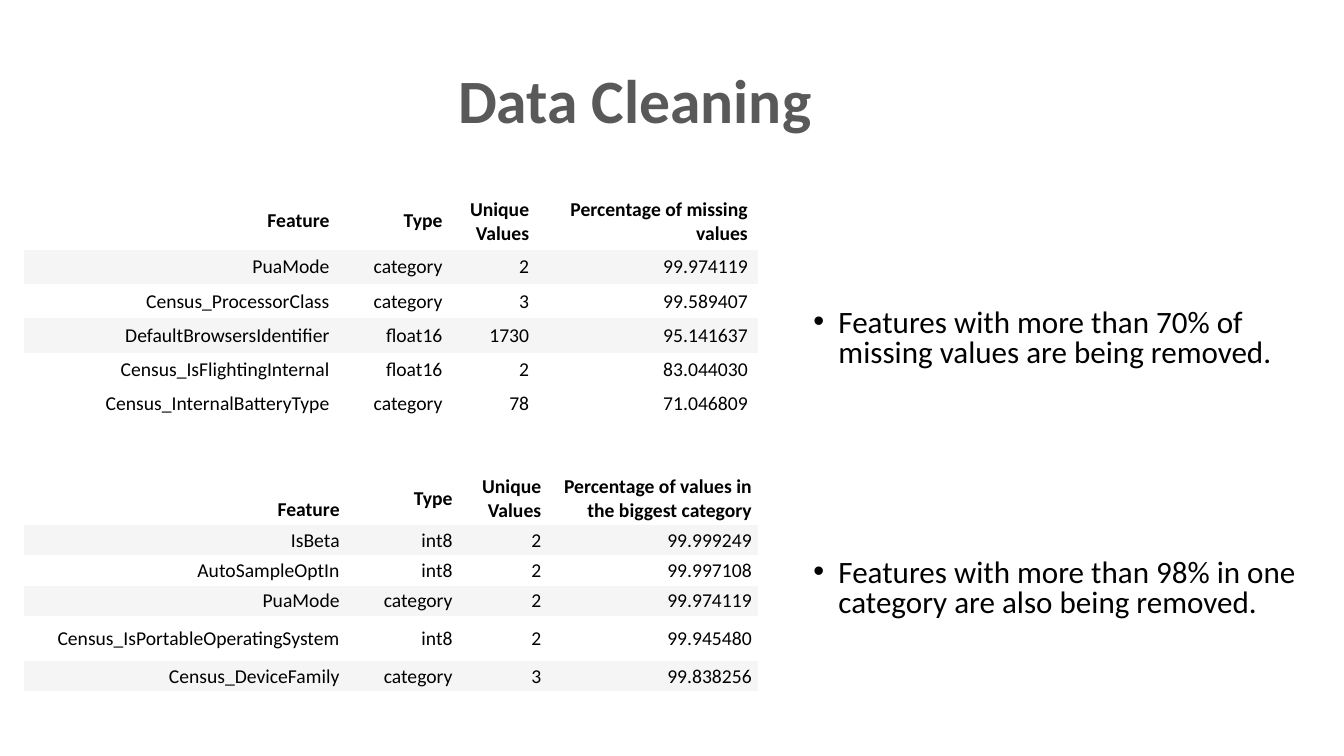
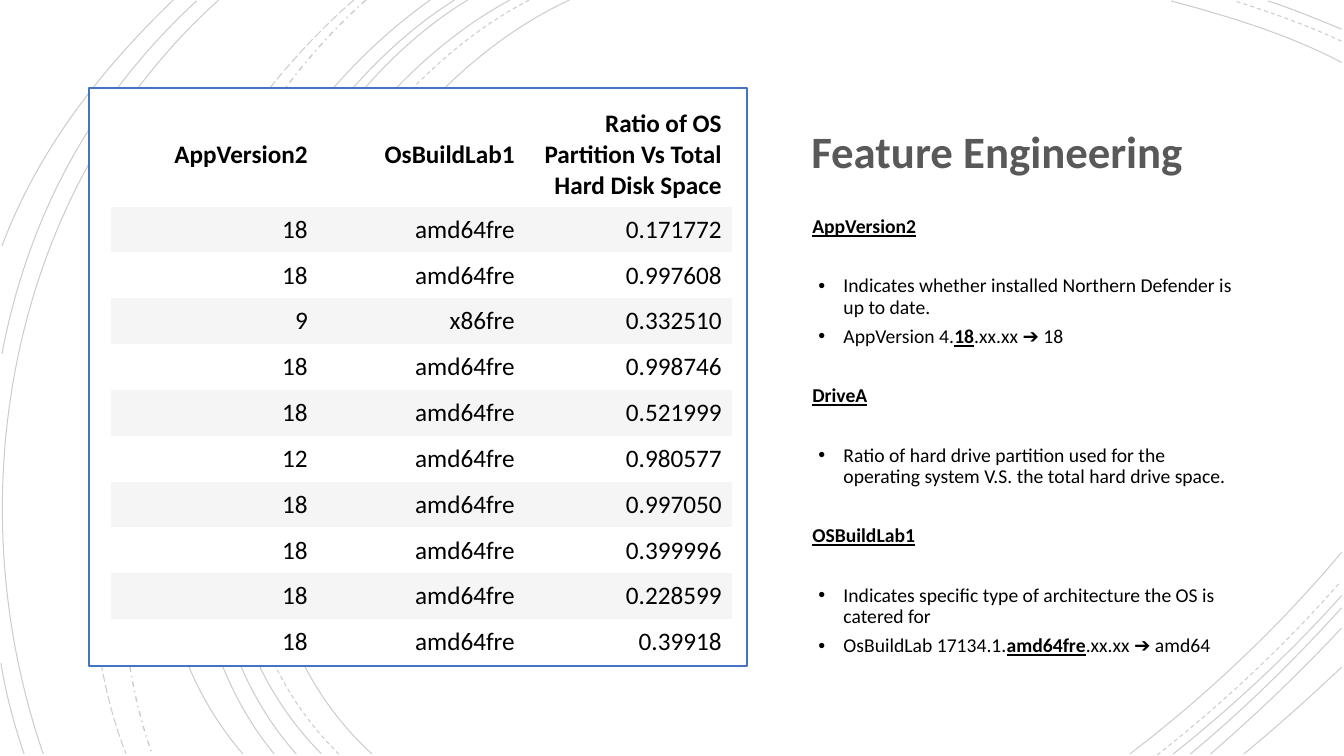
from lxml.etree import SubElement
from pptx import Presentation
from pptx.dml.color import RGBColor
from pptx.enum.dml import MSO_LINE
from pptx.enum.shapes import MSO_SHAPE
from pptx.enum.text import MSO_ANCHOR, PP_ALIGN
from pptx.oxml.ns import qn
from pptx.util import Inches, Pt

# Shared style
FONT = "Calibri"
BLACK = RGBColor(0x00, 0x00, 0x00)
WHITE = RGBColor(0xFF, 0xFF, 0xFF)
TITLE_GREY = RGBColor(0x59, 0x59, 0x59)
BAND_GREY = RGBColor(0xF5, 0xF5, 0xF5)
FRAME_BLUE = RGBColor(0x44, 0x72, 0xC4)
PLAIN_TABLE_STYLE = "{2D5ABB26-0587-4C30-8999-92F81FD0307C}"

MISSING_VALUES = [
    ("Feature", "Type", "Unique Values", "Percentage of missing values"),
    ("PuaMode", "category", "2", "99.974119"),
    ("Census_ProcessorClass", "category", "3", "99.589407"),
    ("DefaultBrowsersIdentifier", "float16", "1730", "95.141637"),
    ("Census_IsFlightingInternal", "float16", "2", "83.044030"),
    ("Census_InternalBatteryType", "category", "78", "71.046809"),
]
BIGGEST_CATEGORY = [
    ("Feature", "Type", "Unique Values",
     "Percentage of values in the biggest category"),
    ("IsBeta", "int8", "2", "99.999249"),
    ("AutoSampleOptIn", "int8", "2", "99.997108"),
    ("PuaMode", "category", "2", "99.974119"),
    ("Census_IsPortableOperatingSystem", "int8", "2", "99.945480"),
    ("Census_DeviceFamily", "category", "3", "99.838256"),
]
NEW_FEATURES = [
    ("AppVersion2", "OsBuildLab1",
     "Ratio of OS Partition Vs Total Hard Disk Space"),
    ("18", "amd64fre", "0.171772"),
    ("18", "amd64fre", "0.997608"),
    ("9", "x86fre", "0.332510"),
    ("18", "amd64fre", "0.998746"),
    ("18", "amd64fre", "0.521999"),
    ("12", "amd64fre", "0.980577"),
    ("18", "amd64fre", "0.997050"),
    ("18", "amd64fre", "0.399996"),
    ("18", "amd64fre", "0.228599"),
    ("18", "amd64fre", "0.39918"),
]
# Heading and its bullets; each bullet is a list of (text, emphasised) spans
EXPLANATIONS = [
    ("AppVersion2", [
        [("Indicates whether installed Northern Defender is up to date.", False)],
        [("AppVersion 4.", False), ("18", True), (".xx.xx ➔ 18", False)],
    ]),
    ("DriveA", [
        [("Ratio of hard drive partition used for the operating system V.S. "
          "the total hard drive space.", False)],
    ]),
    ("OSBuildLab1", [
        [("Indicates specific type of architecture the OS is catered for", False)],
        [("OsBuildLab 17134.1.", False), ("amd64fre", True),
         (".xx.xx ➔ amd64", False)],
    ]),
]
# Start, two control points and end of each background curve, by line style
SOLID_ARCS = [
    ((5.65, 0), (3.15, 1.15), (1.43, 5.4), (3.69, 7.48)),
    ((13.31, 0.62), (12.78, 0.34), (12.18, 0.16), (11.62, 0.01)),
    ((11.21, 7.48), (11.97, 6.9), (12.69, 6.22), (13.31, 5.48)),
    ((5.06, 0), (2.7, 1.27), (1.1, 5.37), (3.19, 7.48)),
    ((13.31, 0.29), (13.07, 0.19), (12.83, 0.09), (12.58, 0.01)),
    ((11.64, 7.48), (12.23, 7.01), (12.8, 6.48), (13.31, 5.91)),
    ((4.64, 0), (2.44, 1.33), (1.1, 5.41), (2.94, 7.48)),
    ((11.81, 7.48), (12.34, 7.04), (12.84, 6.55), (13.31, 6.03)),
    ((4.51, 0), (2.31, 1.38), (0.97, 5.33), (2.72, 7.48)),
    ((12.01, 7.48), (12.46, 7.09), (12.9, 6.67), (13.31, 6.23)),
    ((4.27, 0), (2.17, 1.47), (0.53, 5.29), (2.41, 7.48)),
    ((12.34, 7.48), (12.67, 7.21), (12.99, 6.92), (13.31, 6.62)),
    ((2.17, 0), (0.11, 1.85), (-0.46, 4.9), (0.43, 7.48)),
    ((1.95, 0.01), (0.92, 0.96), (0.28, 2.14), (0.02, 3.51)),
    ((0.01, 6.58), (0.06, 6.89), (0.14, 7.19), (0.24, 7.48)),
    ((1.72, 0), (1, 0.69), (0.37, 1.5), (0.02, 2.44)),
]
DASHED_ARCS = [
    ((5.25, 0), (2.85, 1.25), (1.23, 5.37), (3.36, 7.48)),
    ((13.31, 0.41), (12.97, 0.25), (12.6, 0.12), (12.25, 0.01)),
    ((11.48, 7.49), (12.13, 6.98), (12.75, 6.4), (13.3, 5.77)),
]
DASH_DOT_ARCS = [((3.63, 0), (1.76, 1.66), (0.65, 5.09), (1.51, 7.48))]
LONG_DASH_ARCS = [((3.51, 0), (1.57, 1.69), (0.29, 4.99), (1.25, 7.48))]
ARC_STYLES = [
    (SOLID_ARCS, MSO_LINE.SOLID, 0.75),
    (DASHED_ARCS, MSO_LINE.DASH, 0.75),
    (DASH_DOT_ARCS, MSO_LINE.DASH_DOT, 1),
    (LONG_DASH_ARCS, MSO_LINE.LONG_DASH, 0.75),
]


def add_span(para, text, *, size, color=BLACK, bold=False, underline=False):
    span = para.add_run()
    span.text = text
    font = span.font
    font.name, font.size, font.bold, font.underline = FONT, Pt(size), bold, underline
    font.color.rgb = color


def set_bullet(para, indent, hanging=0.25):
    properties = para._p.get_or_add_pPr()
    properties.set("marL", str(Inches(indent)))
    properties.set("indent", str(Inches(-hanging)))
    SubElement(properties, qn("a:buFont"), typeface="Arial")
    SubElement(properties, qn("a:buChar"), char="•")


def add_box(page, left, top, width, height, anchor=MSO_ANCHOR.TOP):
    box = page.shapes.add_textbox(
        Inches(left), Inches(top), Inches(width), Inches(height))
    box.text_frame.word_wrap = True
    box.text_frame.vertical_anchor = anchor
    return box.text_frame


def next_para(frame, *, line_spacing, before=0, after=0):
    """Use the empty first paragraph, or start a new one."""
    first = frame.paragraphs[0]
    is_first = not first.runs
    para = first if is_first else frame.add_paragraph()
    para.line_spacing = line_spacing
    para.space_before = Pt(0 if is_first else before)
    para.space_after = Pt(after)
    return para


def add_title(page, text, left, top, width, height, *, size,
              anchor=MSO_ANCHOR.TOP, align=PP_ALIGN.LEFT):
    frame = add_box(page, left, top, width, height, anchor)
    para = next_para(frame, line_spacing=0.9)
    para.alignment = align
    add_span(para, text, size=size, color=TITLE_GREY, bold=True)


def add_data_table(page, rows, left, top, widths, heights, *, size,
                   banded, margins=(0.1, 0.05)):
    frame = page.shapes.add_table(
        len(rows), len(widths), Inches(left), Inches(top),
        Inches(sum(widths)), Inches(sum(heights)))
    for style in frame.element.iter(qn("a:tableStyleId")):
        style.text = PLAIN_TABLE_STYLE
    table = frame.table
    table.first_row = table.horz_banding = False
    for column, width in zip(table.columns, widths):
        column.width = Inches(width)
    for row, height in zip(table.rows, heights):
        row.height = Inches(height)
    for row_index, values in enumerate(rows):
        for column_index, value in enumerate(values):
            cell = table.cell(row_index, column_index)
            cell.fill.solid()
            cell.fill.fore_color.rgb = BAND_GREY if row_index in banded else WHITE
            cell.vertical_anchor = MSO_ANCHOR.MIDDLE
            cell.margin_left = cell.margin_right = Inches(margins[0])
            cell.margin_top = cell.margin_bottom = Inches(margins[1])
            para = cell.text_frame.paragraphs[0]
            para.alignment = PP_ALIGN.RIGHT
            add_span(para, value, size=size, bold=row_index == 0)
    return table


def add_arc(page, points, dash, weight):
    """Draw one cubic curve: its corner points become the curve's controls."""
    start, *rest = [(Inches(x), Inches(y)) for x, y in points]
    builder = page.shapes.build_freeform(*start, scale=1.0)
    builder.add_line_segments(rest, close=False)
    arc = builder.convert_to_shape()
    segments = list(arc.element.iter(qn("a:lnTo")))
    curve = SubElement(segments[0].getparent(), qn("a:cubicBezTo"))
    for segment in segments:
        curve.append(segment[0])
        segment.getparent().remove(segment)
    arc.shadow.inherit = False
    arc.fill.background()
    arc.line.color.rgb = BLACK
    arc.line.width = Pt(weight)
    arc.line.dash_style = dash
    line_color = arc.element.spPr.find(qn("a:ln")).find(".//" + qn("a:srgbClr"))
    SubElement(line_color, qn("a:alpha"), val="20000")


def add_background_arcs(page):
    for arcs, dash, weight in ARC_STYLES:
        for points in arcs:
            add_arc(page, points, dash, weight)


def add_removal_rules(page, left, top, width, height):
    frame = add_box(page, left, top, width, height)
    for text in ("Features with more than 70% of missing values are being removed.",
                 "Features with more than 98% in one category are also being removed."):
        para = next_para(frame, line_spacing=0.8, before=136)
        set_bullet(para, 0.25)
        add_span(para, text, size=22.2)


def add_explanations(page, left, top, width, height):
    frame = add_box(page, left, top, width, height)
    for heading, bullets in EXPLANATIONS:
        para = next_para(frame, line_spacing=0.9, before=21.2, after=6)
        add_span(para, heading, size=14, bold=True, underline=True)
        for index, spans in enumerate(bullets):
            para = next_para(frame, line_spacing=0.9, after=6,
                             before=21.2 if index == 0 else 0)
            set_bullet(para, 0.31)
            for text, strong in spans:
                add_span(para, text, size=14, bold=strong, underline=strong)


def add_framed_table(page, left, top, width, height):
    panel = page.shapes.add_shape(
        MSO_SHAPE.RECTANGLE, Inches(left), Inches(top), Inches(width), Inches(height))
    panel.shadow.inherit = False
    panel.fill.solid()
    panel.fill.fore_color.rgb = WHITE
    panel.line.color.rgb = FRAME_BLUE
    panel.line.width = Pt(1.5)
    header, body = 1.03, 4.55
    count = len(NEW_FEATURES) - 1
    add_data_table(page, NEW_FEATURES, left + 0.22, top + 0.15, [6.16 / 3] * 3,
                   [header] + [body / count] * count, size=18,
                   banded=range(1, count + 1, 2))


def build_cleaning_page(page):
    add_removal_rules(page, 7.97, 3.02, 5.11, 3.42)
    add_title(page, "Data Cleaning", 0.55, 0.65, 11.5, 1.31,
              size=44, align=PP_ALIGN.CENTER)
    add_data_table(page, MISSING_VALUES, 0.24, 1.91, [3.13, 1.12, 0.86, 2.17],
                   [0.57] + [0.34] * 5, size=14, banded=(1, 3))
    table = add_data_table(page, BIGGEST_CATEGORY, 0.24, 4.68,
                           [3.19, 1.12, 0.88, 2.09],
                           [0.53, 0.3, 0.3, 0.3, 0.45, 0.3], size=14,
                           banded=(1, 3, 5), margins=(0.06, 0.03))
    table.cell(0, 0).vertical_anchor = MSO_ANCHOR.BOTTOM


def build_engineering_page(page):
    add_background_arcs(page)
    add_title(page, "Feature Engineering", 7.95, 0.74, 4.51, 1.57,
              size=32, anchor=MSO_ANCHOR.MIDDLE)
    add_framed_table(page, 0.88, 0.87, 6.53, 5.74)
    add_explanations(page, 7.96, 2.1, 4.48, 4.51)


def main():
    deck = Presentation()
    deck.slide_width, deck.slide_height = Inches(40 / 3), Inches(7.5)
    for build in (build_cleaning_page, build_engineering_page):
        build(deck.slides.add_slide(deck.slide_layouts[6]))
    deck.save("out.pptx")


if __name__ == "__main__":
    main()
